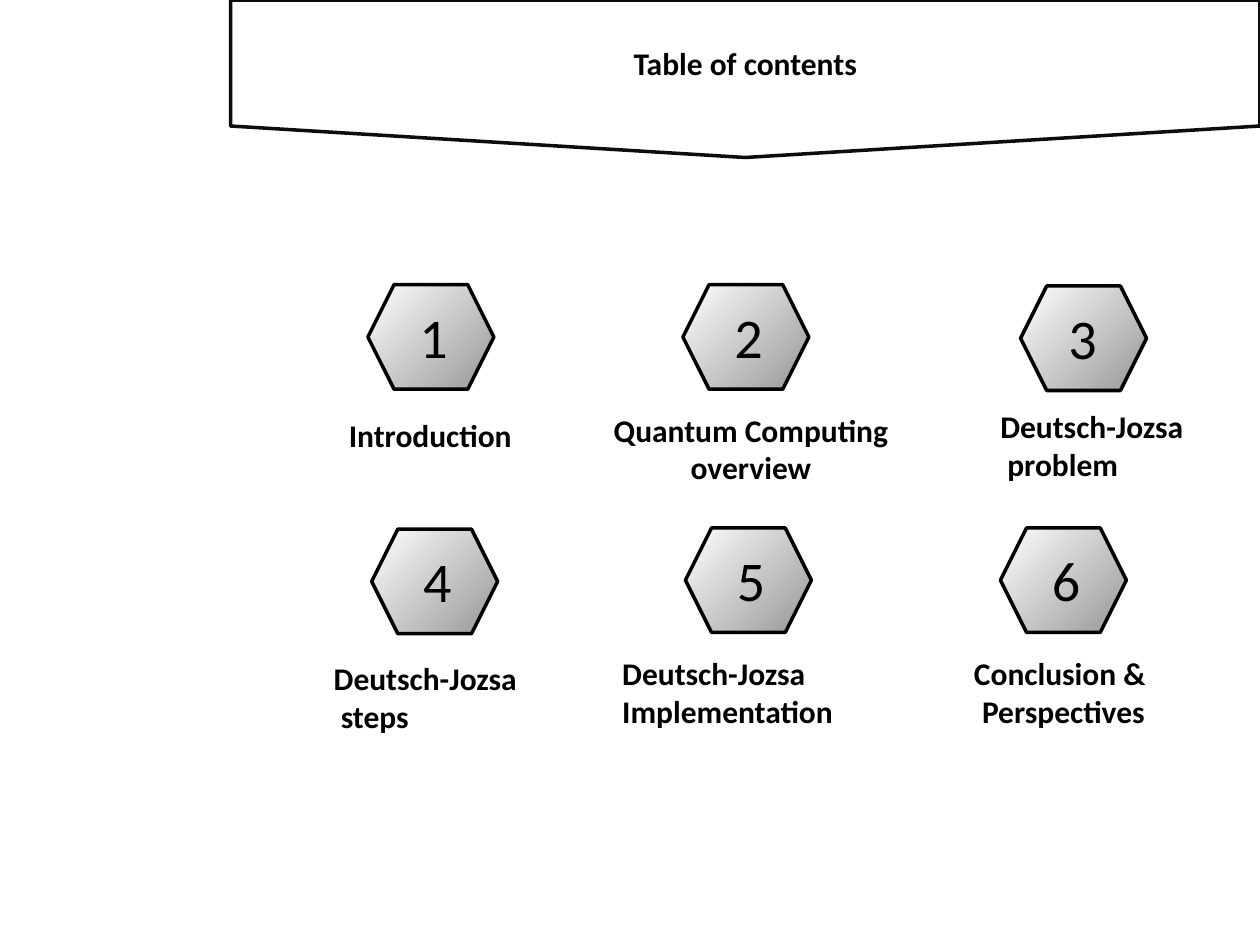
from lxml import etree
from pptx import Presentation
from pptx.dml.color import RGBColor
from pptx.enum import shapes, text
from pptx.oxml.ns import qn
from pptx.util import Inches, Pt

BLACK = RGBColor(0x00, 0x00, 0x00)
WHITE = RGBColor(0xFF, 0xFF, 0xFF)
NEAR_BLACK = RGBColor(0x0D, 0x0D, 0x0D)
GREY = RGBColor(0x97, 0x97, 0x97)

HEADING = {"name": "Calibri", "size": Pt(18), "bold": True}
NUMBER = {"name": "Calibri", "size": Pt(32), "bold": False}

LEFT, CENTER = text.PP_ALIGN.LEFT, text.PP_ALIGN.CENTER
BANNER_LEFT, BANNER_WIDTH = 1.83, 8.17

# number, hexagon (left, top), number left,
# caption lines, caption box, alignment, wrap
CHAPTERS = [
    ("1", (2.92, 2.26), 3.23,
     ["Introduction"], (2.67, 3.25, 1.49, 0.4), LEFT, False),
    ("2", (5.42, 2.26), 5.73,
     ["Quantum Computing", "overview"], (4.77, 3.21, 2.38, 0.7), CENTER, False),
    ("3", (8.1, 2.27), 8.38,
     ["Deutsch-Jozsa", " problem"], (7.84, 3.18, 1.71, 0.7), LEFT, False),
    ("4", (2.95, 4.2), 3.26,
     ["Deutsch-Jozsa", " steps"], (2.55, 5.18, 1.71, 0.7), LEFT, False),
    ("5", (5.44, 4.19), 5.75,
     ["Deutsch-Jozsa Implementation"], (4.84, 5.14, 2.74, 1), LEFT, True),
    ("6", (7.94, 4.19), 8.25,
     ["Conclusion & ", "Perspectives"], (7.63, 5.14, 1.62, 0.7), CENTER, False),
]


def write_lines(frame, lines, font_values, align):
    """Fill a text frame with one paragraph per line."""
    for index, line in enumerate(lines):
        paragraph = frame.paragraphs[0] if index == 0 else frame.add_paragraph()
        paragraph.alignment = align
        run = paragraph.add_run()
        run.text = line
        run.font.color.rgb = BLACK
        for attribute, value in font_values.items():
            setattr(run.font, attribute, value)


def add_label(slide, box, lines, font_values, align=LEFT, wrap=True):
    label = slide.shapes.add_textbox(*map(Inches, box))
    frame = label.text_frame
    frame.word_wrap = wrap
    frame.auto_size = text.MSO_AUTO_SIZE.SHAPE_TO_FIT_TEXT
    write_lines(frame, lines, font_values, align)


def add_outlined_shape(slide, kind, box, line_color):
    outlined = slide.shapes.add_shape(kind, *map(Inches, box))
    outlined.shadow.inherit = False
    outlined.line.color.rgb = line_color
    outlined.line.width = Pt(2)
    return outlined


def fill_from_corner(shape):
    """Radial gradient, grey at the bottom right and white at the top left."""
    shape.fill.gradient()
    for stop, color in zip(shape.fill.gradient_stops, (GREY, WHITE)):
        stop.color.rgb = color
    gradient = shape.fill._xPr.find(qn("a:gradFill"))
    gradient.remove(gradient.find(qn("a:lin")))
    radial = etree.SubElement(gradient, qn("a:path"), path="circle")
    etree.SubElement(radial, qn("a:fillToRect"), l="100000", t="100000")


def add_banner(slide):
    banner = add_outlined_shape(
        slide, shapes.MSO_SHAPE.FLOWCHART_OFFPAGE_CONNECTOR,
        (BANNER_LEFT, 0, BANNER_WIDTH, 1.25), NEAR_BLACK)
    banner.fill.solid()
    banner.fill.fore_color.rgb = WHITE

    # The title sits in the straight part, above the point
    title = slide.shapes.title
    title.left, title.top = Inches(BANNER_LEFT), Inches(0)
    title.width, title.height = Inches(BANNER_WIDTH), Inches(1)
    frame = title.text_frame
    frame.auto_size = text.MSO_AUTO_SIZE.NONE
    frame.vertical_anchor = text.MSO_ANCHOR.MIDDLE
    write_lines(frame, ["Table of contents"], HEADING, CENTER)
    slide.shapes._spTree.append(title._element)  # bring in front of the banner


def add_chapter(slide, number, corner, number_left, lines, box, align, wrap):
    hexagon = add_outlined_shape(
        slide, shapes.MSO_SHAPE.HEXAGON, (*corner, 1, 0.83), BLACK)
    fill_from_corner(hexagon)
    add_label(slide, (number_left, corner[1] + 0.09, 0.38, 0.63), [number], NUMBER)
    add_label(slide, box, lines, HEADING, align, wrap)


def main():
    deck = Presentation()
    deck.slide_width, deck.slide_height = Inches(10), Inches(7.5)
    slide = deck.slides.add_slide(deck.slide_layouts[5])
    add_banner(slide)
    for chapter in CHAPTERS:
        add_chapter(slide, *chapter)
    deck.save("out.pptx")


if __name__ == "__main__":
    main()
